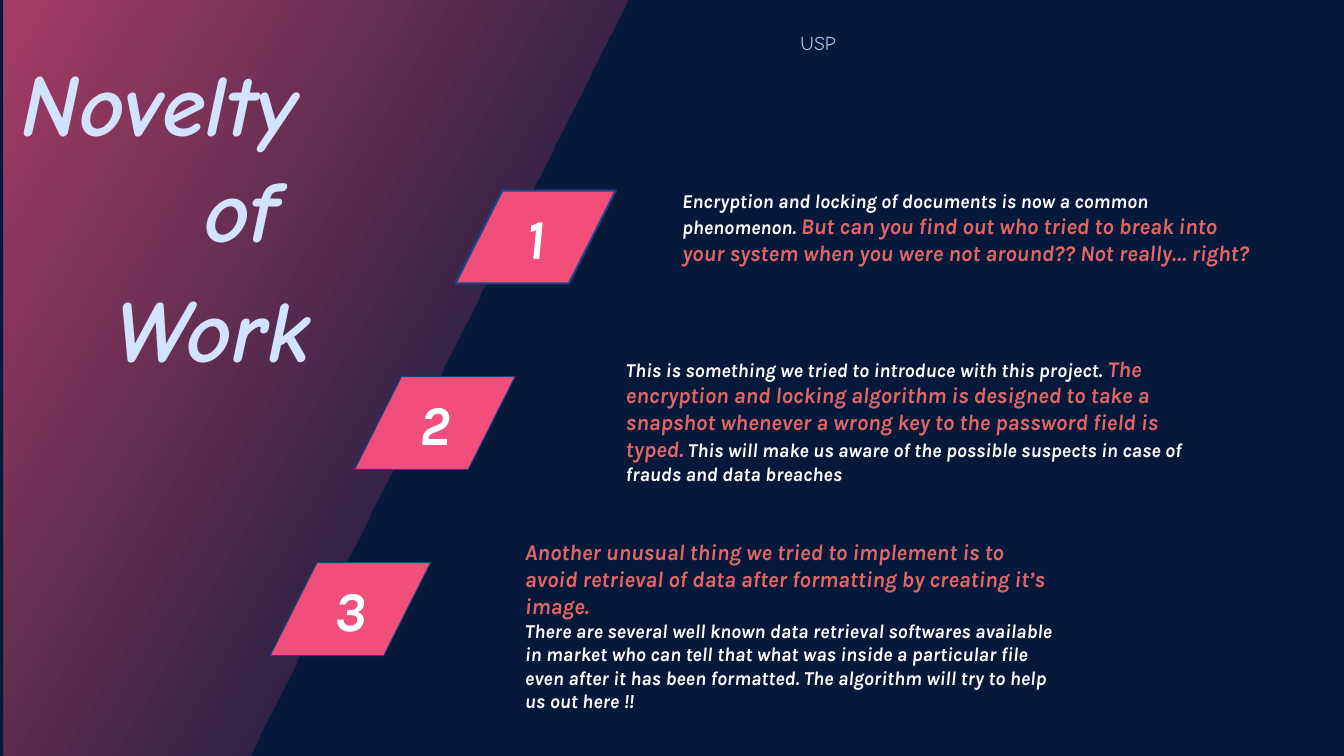
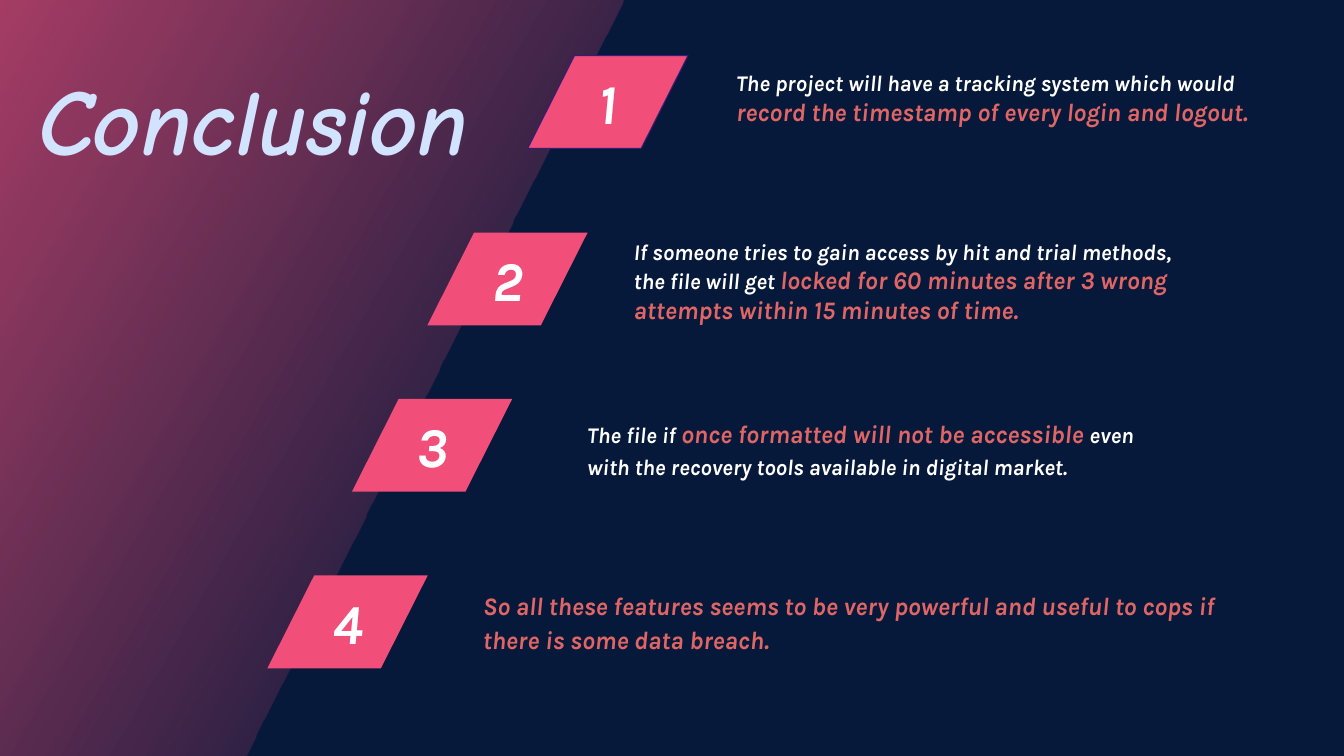
"""Builds two slides with a slanted band, a title and numbered points."""
from dataclasses import dataclass

from lxml.etree import SubElement
from pptx import Presentation
from pptx.dml.color import RGBColor
from pptx.enum.shapes import MSO_SHAPE
from pptx.enum.text import MSO_ANCHOR, PP_ALIGN
from pptx.oxml.ns import qn
from pptx.util import Cm, Pt


@dataclass(frozen=True)
class Theme:
    """Colours, fonts and type sizes of the deck."""
    navy: str = "07193A"
    pink: str = "F14E79"
    white: str = "FFFFFF"
    coral: str = "E06666"
    ice: str = "D1E3FE"
    sky: str = "A4C2F4"
    red: str = "FF0000"
    blue: str = "1C4587"
    plum: str = "351C75"
    body: str = "Karla"
    head: str = "Comic Neue"
    badge: int = 40
    label: int = 14
    small: tuple = (14, 16)
    large: tuple = (16, 18)


THEME = Theme()
WIDE, HIGH = 33.87, 19.05
BADGE = (4.04, 2.34)


def paint(fill, tone):
    """Give a fill one solid colour."""
    fill.solid()
    fill.fore_color.rgb = RGBColor.from_string(tone)


def write(para, text, size, tone, face, bold=True):
    """Add one run to a paragraph and return it."""
    run = para.add_run()
    run.text = text
    font = run.font
    font.name, font.size = face, Pt(size)
    font.bold = font.italic = bold
    font.color.rgb = RGBColor.from_string(tone)
    return run


def frame(slide, box, inset=0.25):
    """Add a wrapping text box and return its text frame."""
    text = slide.shapes.add_textbox(*map(Cm, box)).text_frame
    text.word_wrap = True
    text.margin_left = text.margin_right = Cm(0.25)
    text.margin_top = text.margin_bottom = Cm(inset)
    return text


def band(slide, box, foot):
    """Draw the fading band, whose lower edge is foot wide."""
    left, top, wide, high = box
    pen = slide.shapes.build_freeform(Cm(left), Cm(top))
    pen.add_line_segments([
        (Cm(left + wide), Cm(top)),
        (Cm(left + foot), Cm(top + high)),
        (Cm(left), Cm(top + high))])
    shape = pen.convert_to_shape()
    shape.shadow.inherit = False
    shape.line.fill.background()
    shape.fill.gradient()
    shape.fill.gradient_angle = 330
    stops = ((0, THEME.pink), (0.84, THEME.navy))
    for stop, (place, tone) in zip(shape.fill.gradient_stops, stops):
        stop.position = place
        stop.color.rgb = RGBColor.from_string(tone)
    tones = shape.element.spPr.iter(qn("a:srgbClr"))
    for tone, alpha in zip(list(tones), (67000, 75000)):
        SubElement(tone, qn("a:alpha")).set("val", str(alpha))


def title(slide, box, size, lines):
    """Write the title; each line has a text, an indent and a gap above."""
    text = frame(slide, box)
    for spot, (words, indent, gap) in enumerate(lines):
        para = text.add_paragraph() if spot else text.paragraphs[0]
        para.space_before = Pt(gap)
        if indent:
            props = para._p.get_or_add_pPr()
            props.set("marL", str(Cm(indent)))
            props.set("indent", "0")
        write(para, words, size, THEME.ice, THEME.head)


def label(slide, box, words):
    """Write the small outlined label at the top."""
    para = frame(slide, box, 0.13).paragraphs[0]
    para.alignment = PP_ALIGN.CENTER
    run = write(para, words, THEME.label, THEME.sky, THEME.head, False)
    paint(run.font.fill, THEME.sky)
    line = run._r.get_or_add_rPr().makeelement(qn("a:ln"), {"w": str(Pt(0.75))})
    fill = SubElement(line, qn("a:solidFill"))
    SubElement(fill, qn("a:srgbClr")).set("val", THEME.red)
    run._r.get_or_add_rPr().insert(0, line)


def badge(slide, box, count, edge):
    """Draw a slanted badge with its number."""
    shape = slide.shapes.add_shape(MSO_SHAPE.PARALLELOGRAM, *map(Cm, box))
    shape.shadow.inherit = False
    shape.adjustments[0] = 0.504
    paint(shape.fill, THEME.pink)
    if edge:
        tone, width = edge
        paint(shape.line.fill, tone)
        shape.line.width = Pt(width)
    else:
        shape.line.fill.background()
    text = shape.text_frame
    text.vertical_anchor = MSO_ANCHOR.MIDDLE
    para = text.paragraphs[0]
    para.alignment = PP_ALIGN.CENTER
    write(para, str(count), THEME.badge, THEME.white, THEME.body)


def note(slide, box, sizes, lines, lead):
    """Write a note; bars in a line switch between plain and strong."""
    text = frame(slide, box)
    for spot, line in enumerate(lines):
        para = text.add_paragraph() if spot else text.paragraphs[0]
        para.line_spacing = lead
        for turn, words in enumerate(line.split("|")):
            if words:
                strong = turn % 2
                tone = THEME.coral if strong else THEME.white
                write(para, words, sizes[strong], tone, THEME.body)


def points(slide, sizes, items):
    """Place each badge with its note set off from the badge corner."""
    for count, (spot, shift, size, edge, lead, lines) in enumerate(items, 1):
        left, top = spot
        badge(slide, (left, top, *BADGE), count, edge)
        box = (left + shift[0], top + shift[1], *size)
        note(slide, box, sizes, lines, lead)


def novel(slide):
    """Build the slide on the novelty of the work."""
    band(slide, (0.08, 0, 15.72, HIGH), 6.2)
    points(slide, THEME.small, [
        ((11.48, 4.8), (5.46, -0.3), (15.04, 2.67), (THEME.blue, 1.5), 1, [
            "Encryption and locking of documents is now a common phenomenon. "
            "|But can you find out who tried to break into your system when "
            "you were not around?? Not really… right?"]),
        ((8.94, 9.49), (6.58, -0.8), (15.44, 2.67), (THEME.blue, 0.75), 1, [
            "This is something we tried to introduce with this project. "
            "|The encryption and locking algorithm is designed to take a "
            "snapshot whenever a wrong key to the password field is typed."
            "| This will make us aware of the possible suspects in case of "
            "frauds and data breaches"]),
        ((6.81, 14.18), (6.17, -0.87), (13.97, 4.04), (THEME.blue, 0.75), 1, [
            "|Another unusual thing we tried to implement is to avoid "
            "retrieval of data after formatting by creating it’s image.",
            "There are several well known data retrieval softwares available "
            "in market who can tell that what was inside a particular file "
            "even after it has been formatted. The algorithm will try to help "
            "us out here !!"])])
    title(slide, (0.3, 0.97, 10, 8.03), 63, [
        ("Novelty", 0, 0), ("of", 4.6, 0), ("Work", 2.35, 10)])
    label(slide, (17.37, 0.66, 6.5, 2.36), "USP")


def ending(slide):
    """Build the slide with the conclusion."""
    band(slide, (0, 0, 15.72, HIGH), 6.2)
    title(slide, (0.71, 1.3, 12.62, 2.57), 67, [("Conclusion", 0, 0)])
    points(slide, THEME.large, [
        ((13.3, 1.4), (5, 0.1), (14.12, 3), (THEME.plum, 0.75), 1, [
            "The project will have a tracking system which would "
            "|record the timestamp of every login and logout."]),
        ((10.77, 5.86), (4.95, -0.12), (14.78, 2.87), None, 1, [
            "If someone tries to gain access by hit and trial methods, "
            "the file will get |locked for 60 minutes after 3 wrong attempts "
            "within 15 minutes of time."]),
        ((8.87, 10.05), (5.68, 0.14), (14.33, 2.87), None, 1.15, [
            "The file if |once formatted will not be accessible |even with "
            "the recovery tools available in digital market."]),
        ((6.74, 14.5), (5.18, 0), (18.95, 2.87), None, 1.15, [
            "|So all these features seems to be very powerful and useful to "
            "cops if there is some data breach."])])


def main():
    """Build and save the deck."""
    deck = Presentation()
    deck.slide_width, deck.slide_height = Cm(WIDE), Cm(HIGH)
    paint(deck.slide_master.background.fill, THEME.navy)
    for build in (novel, ending):
        build(deck.slides.add_slide(deck.slide_layouts[6]))
    deck.save("out.pptx")


if __name__ == "__main__":
    main()
